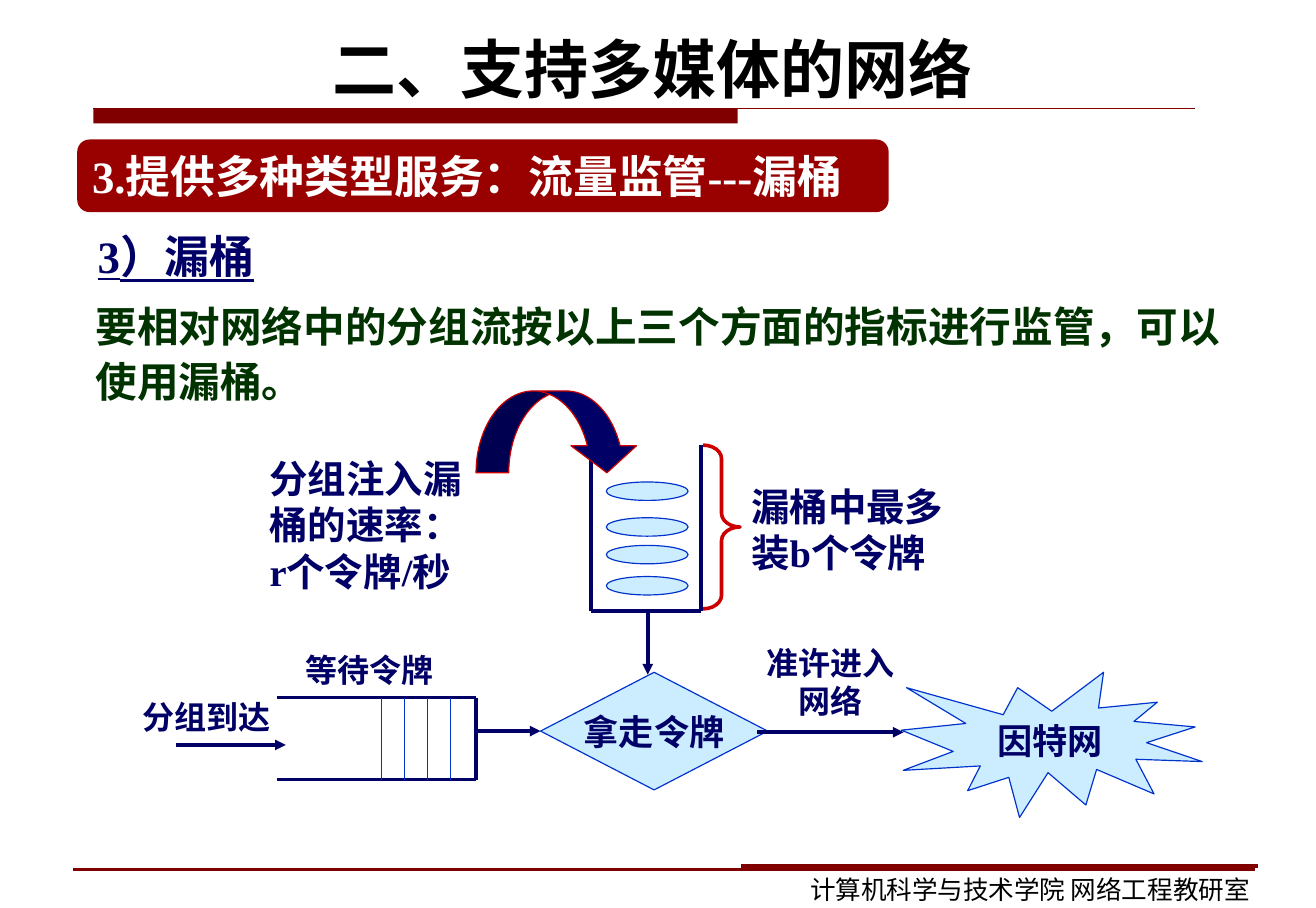
from lxml import etree
from pptx import Presentation
from pptx.dml.color import RGBColor
from pptx.enum.shapes import MSO_CONNECTOR, MSO_SHAPE as SHAPE
from pptx.enum.text import MSO_ANCHOR as ANCHOR, PP_ALIGN as ALIGN
from pptx.oxml.ns import qn
from pptx.util import Inches, Pt


class Theme:
    navy, blue, pale = "000066", "0033CC", "CCECFF"
    maroon, banner, red = "800000", "990000", "CC0000"
    green, black, white = "003300", "000000", "FFFFFF"
    serif, sans = "Times New Roman", "Arial"
    title, heading, body, note, node, label, footer = 40, 28, 26, 24, 22, 20, 16
    hairline, rule, stroke = 0.75, 1.5, 2.25


# Slide size: 29 by 20 centimetres, in inches
CM_PER_INCH = 2.54
SLIDE_WIDTH, SLIDE_HEIGHT = 29 / CM_PER_INCH, 20 / CM_PER_INCH

# Text boxes: text, (left, top, width, height), size, font, colour, options
TITLE = ("二、支持多媒体的网络", (0.61, 0.03, 10.1, 1.11), Theme.title, Theme.serif,
         Theme.black, dict(align=ALIGN.CENTER, anchor=ANCHOR.MIDDLE))
TEXTS = [
    ("3）漏桶", (0.75, 1.89, 10.24, 0.62), Theme.heading, Theme.serif, Theme.navy,
     dict(underline=True, spacing=1.1)),
    ("要相对网络中的分组流按以上三个方面的指标进行监管，可以使用漏桶。",
     (0.73, 2.52, 10, 1.06), Theme.body, Theme.serif, Theme.green, dict(spacing=1.1)),
    ("分组注入漏桶的速率：r个令牌/秒", (2.24, 3.9, 1.97, 1.7), Theme.note, Theme.serif,
     Theme.navy, {}),
    ("漏桶中最多装b个令牌", (6.42, 4.14, 1.97, 0.9), Theme.note, Theme.serif,
     Theme.navy, {}),
    ("等待令牌", (2.55, 5.59, 1.57, 0.44), Theme.label, Theme.sans, Theme.navy, {}),
    ("分组到达", (1.14, 6, 1.57, 0.44), Theme.label, Theme.sans, Theme.navy, {}),
    ("准许进入网络", (6.42, 5.53, 1.57, 0.77), Theme.label, Theme.sans, Theme.navy,
     dict(align=ALIGN.CENTER)),
    ("计算机科学与技术学院 网络工程教研室", (6.93, 7.53, 4.2, 0.37), Theme.footer,
     Theme.sans, Theme.black, dict(bold=False)),
]
BANNER = ("3.提供多种类型服务：流量监管---漏桶", (0.67, 1.21, 7.04, 0.63))
NODES = [
    (SHAPE.DIAMOND, "拿走令牌", (4.69, 5.83, 1.97, 1.02)),
    (SHAPE.EXPLOSION1, "因特网", (7.82, 5.83, 2.61, 1.26)),
]

# Diagram lines: start x, start y, end x, end y
QUEUE = dict(left=2.4, right=4.13, top=6.05, bottom=6.76)
SLOT_FIRST, SLOT_STEP, SLOT_COUNT = 3.31, 0.2, 4
BUCKET = dict(left=5.13, right=6.08, top=3.86, bottom=5.3)
TOKEN_TOPS = [4.18, 4.49, 4.73, 5]
ARROWS = [
    (1.53, 6.46, 2.48, 6.46),
    (4.13, 6.34, 4.69, 6.34),
    (6.57, 6.35, 7.84, 6.35),
    (5.62, 5.3, 5.62, 5.85),
]

presentation = Presentation()
presentation.slide_width = Inches(SLIDE_WIDTH)
presentation.slide_height = Inches(SLIDE_HEIGHT)
slide = presentation.slides.add_slide(presentation.slide_layouts[6])


def rgb(colour):
    return RGBColor.from_string(colour)


def write(shape, text, size, font, colour, align=ALIGN.LEFT, anchor=ANCHOR.TOP,
          bold=True, underline=None, spacing=None, wrap=True):
    frame = shape.text_frame
    frame.word_wrap = wrap
    frame.vertical_anchor = anchor
    paragraph = frame.paragraphs[0]
    paragraph.text = text
    paragraph.alignment = align
    paragraph.line_spacing = spacing
    paragraph.font.name = font
    paragraph.font.size = Pt(size)
    paragraph.font.bold = bold
    paragraph.font.underline = underline
    paragraph.font.color.rgb = rgb(colour)


def add_text(text, box, size, font, colour, options):
    shape = slide.shapes.add_textbox(*map(Inches, box))
    write(shape, text, size, font, colour, **options)


def add_shape(kind, box, fill=None, line=None, width=Theme.hairline, adjustments=()):
    shape = slide.shapes.add_shape(kind, *map(Inches, box))
    shape.shadow.inherit = False
    for index, value in enumerate(adjustments):
        shape.adjustments[index] = value
    if fill:
        shape.fill.solid()
        shape.fill.fore_color.rgb = rgb(fill)
    else:
        shape.fill.background()
    if line:
        shape.line.color.rgb = rgb(line)
        shape.line.width = Pt(width)
    else:
        shape.line.fill.background()
    return shape


def add_line(ends, colour=Theme.navy, width=Theme.stroke, arrow=False):
    line = slide.shapes.add_connector(MSO_CONNECTOR.STRAIGHT, *map(Inches, ends))
    line.line.color.rgb = rgb(colour)
    line.line.width = Pt(width)
    if arrow:
        etree.SubElement(line.line._get_or_add_ln(), qn("a:tailEnd"), type="triangle")
    etree.SubElement(line._element.spPr, qn("a:effectLst"))


# Title, its rule and the section banner
add_shape(SHAPE.RECTANGLE, (0.81, 0.94, 5.59, 0.13), Theme.maroon)
add_line((0.81, 0.94, 10.37, 0.94), Theme.maroon, Theme.hairline)
add_text(*TITLE)
banner_text, banner_box = BANNER
banner = add_shape(SHAPE.ROUNDED_RECTANGLE, banner_box, Theme.banner, adjustments=[0.17])
write(banner, banner_text, Theme.heading, Theme.serif, Theme.white,
      anchor=ANCHOR.MIDDLE, wrap=False)

# Packet queue with its slots
left, right, top, bottom = (QUEUE[side] for side in ("left", "right", "top", "bottom"))
for ends in [(left, top, right, top), (left, bottom, right, bottom),
             (right, top, right, bottom)]:
    add_line(ends)
for slot in range(SLOT_COUNT):
    x = SLOT_FIRST + slot * SLOT_STEP
    add_line((x, top, x, bottom), Theme.blue, Theme.hairline)

# Token decision and network
for kind, text, box in NODES:
    node = add_shape(kind, box, Theme.pale, Theme.blue)
    write(node, text, Theme.node, Theme.sans, Theme.navy,
          align=ALIGN.CENTER, anchor=ANCHOR.MIDDLE, wrap=False)

# Bucket with its tokens
left, right, top, bottom = (BUCKET[side] for side in ("left", "right", "top", "bottom"))
for ends in [(left, top, left, bottom), (right, top, right, bottom),
             (left, bottom, right, bottom)]:
    add_line(ends)
for token_top in TOKEN_TOPS:
    add_shape(SHAPE.OVAL, (5.26, token_top, 0.71, 0.16), Theme.pale, Theme.blue)

# Flow arrows, token inflow and bucket size
for ends in ARROWS:
    add_line(ends, arrow=True)
add_shape(SHAPE.CURVED_DOWN_ARROW, (4.13, 3.39, 1.42, 0.71), Theme.navy, Theme.red,
          adjustments=[0.4, 0.8, 0.33])
add_shape(SHAPE.RIGHT_BRACE, (6.1, 3.86, 0.32, 1.42), line=Theme.red,
          width=Theme.stroke, adjustments=[0.37, 0.5])

# Footer rules and all remaining text
add_line((0.63, 7.54, 10.89, 7.54), Theme.maroon, Theme.rule)
add_line((6.43, 7.51, 10.91, 7.51), Theme.maroon, Theme.stroke)
for entry in TEXTS:
    add_text(*entry)

presentation.save("out.pptx")
